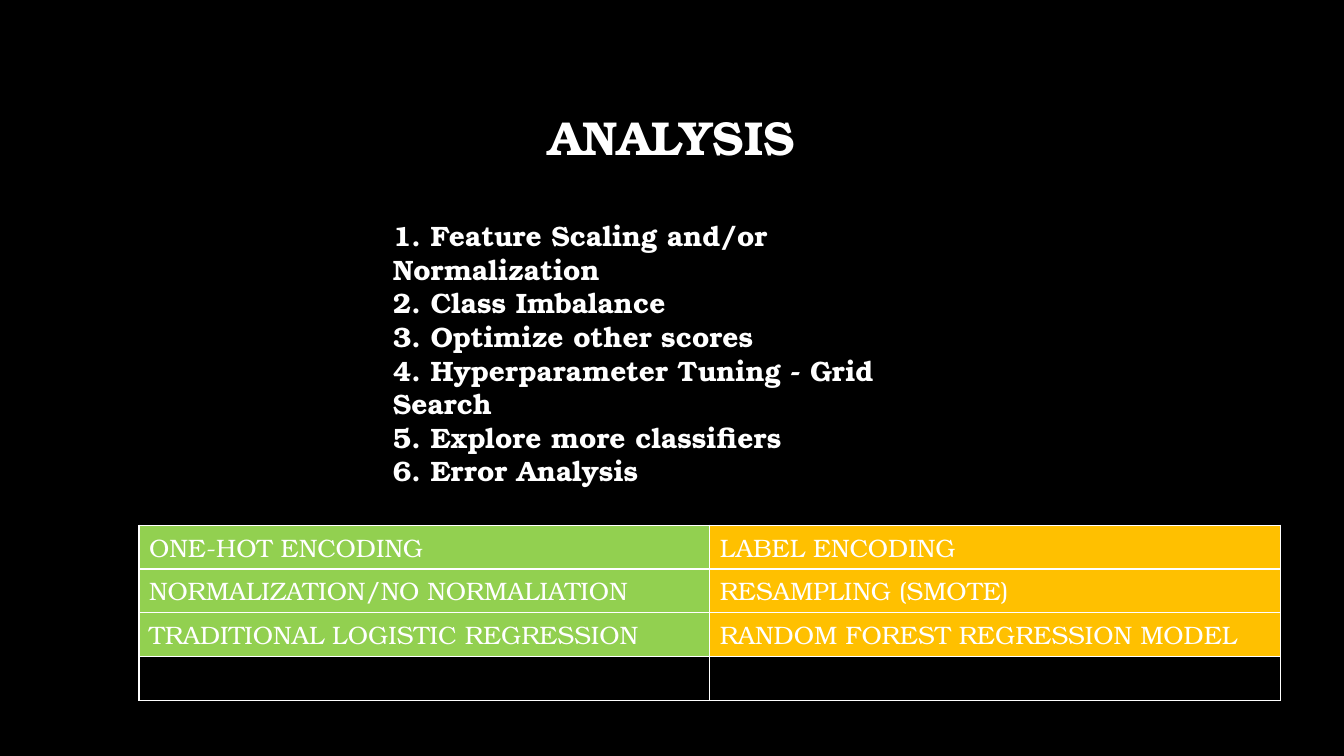
from lxml import etree
from pptx import Presentation
from pptx import util as u
from pptx.dml.color import RGBColor
from pptx.enum import text
from pptx.oxml import ns

BLACK = RGBColor(0x00, 0x00, 0x00)
WHITE = RGBColor(0xFF, 0xFF, 0xFF)
GREEN = RGBColor(0x92, 0xD0, 0x50)
AMBER = RGBColor(0xFF, 0xC0, 0x00)

STEPS = [
    "1. Feature Scaling and/or Normalization",
    "2. Class Imbalance",
    "3. Optimize other scores",
    "4. Hyperparameter Tuning - Grid Search",
    "5. Explore more classifiers",
    "6. Error Analysis",
]
MODELS = [
    ("ONE-HOT ENCODING", "LABEL ENCODING"),
    ("NORMALIZATION/NO NORMALIATION", "RESAMPLING (SMOTE)"),
    ("TRADITIONAL LOGISTIC REGRESSION", "RANDOM FOREST REGRESSION MODEL"),
    ("", ""),
]


class Deck:
    """Holds the style and the current slide; boxes are in percent of the slide."""

    font = "TeX Gyre Bonum"
    ink = WHITE

    def __init__(self, wide, high):
        self.prs = Presentation()
        self.prs.slide_width = u.Inches(wide)
        self.prs.slide_height = u.Inches(high)
        self.slide = self.prs.slides.add_slide(self.prs.slide_layouts[6])
        fill = self.slide.background.fill
        fill.solid()
        fill.fore_color.rgb = BLACK

    def box(self, x, y, w, h):
        """Turn percentages into slide lengths."""
        wide, high = self.prs.slide_width, self.prs.slide_height
        return [int(part * full / 100)
                for part, full in zip((x, y, w, h), (wide, high) * 2)]

    def run(self, para, words, size, bold=False):
        run = para.add_run()
        run.text = words
        font = run.font
        font.name, font.size, font.bold = self.font, u.Pt(size), bold
        font.color.rgb = self.ink

    def text(self, area, lines, size, align=text.PP_ALIGN.LEFT,
             anchor=text.MSO_ANCHOR.TOP, space=1.0):
        frame = self.slide.shapes.add_textbox(*self.box(*area)).text_frame
        frame.word_wrap = True
        frame.vertical_anchor = anchor
        for i, line in enumerate(lines):
            para = frame.add_paragraph() if i else frame.paragraphs[0]
            para.alignment, para.line_spacing = align, space
            self.run(para, line, size, bold=True)

    def edge(self, cell):
        """Draw a thin line on all four sides of a cell."""
        props = cell._tc.get_or_add_tcPr()
        for i, side in enumerate(("lnL", "lnR", "lnT", "lnB")):
            line = etree.Element(ns.qn(f"a:{side}"), w=str(u.Pt(1)))
            solid = etree.SubElement(line, ns.qn("a:solidFill"))
            etree.SubElement(solid, ns.qn("a:srgbClr"), val=str(self.ink))
            props.insert(i, line)

    def table(self, area, rows, fills, size):
        grid = self.slide.shapes.add_table(
            len(rows), len(fills), *self.box(*area)).table
        grid.first_row = grid.horz_banding = False
        for r, row in enumerate(rows):
            for c, (words, color) in enumerate(zip(row, fills)):
                cell = grid.cell(r, c)
                if words:
                    cell.fill.solid()
                    cell.fill.fore_color.rgb = color
                    self.run(cell.text_frame.paragraphs[0], words, size)
                else:
                    cell.fill.background()
                self.edge(cell)


def main():
    deck = Deck(13.33, 7.5)
    deck.text((7.5, 8.93, 84.92, 19.33), ["ANALYSIS"], 34,
              text.PP_ALIGN.CENTER, text.MSO_ANCHOR.MIDDLE, 0.9)
    deck.table((10.35, 69.47, 84.92, 23.15), MODELS, (GREEN, AMBER), 18)
    deck.text((28.5, 28.27, 43, 32.8), STEPS, 20)
    deck.prs.save("out.pptx")


if __name__ == "__main__":
    main()
